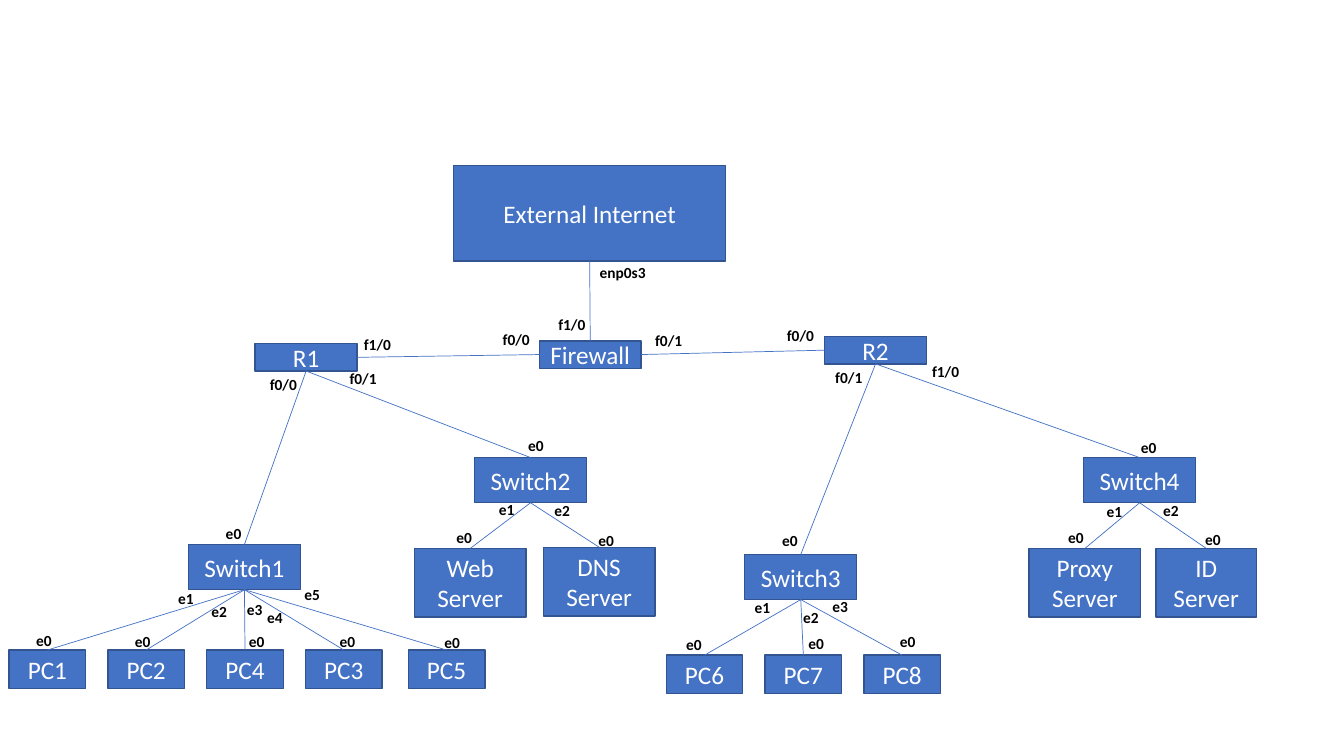
import pptx
import pptx.util
import pptx.dml.color
import pptx.enum.shapes
import pptx.enum.text
import pptx.oxml

Cm, Pt = pptx.util.Cm, pptx.util.Pt
RGBColor = pptx.dml.color.RGBColor

BLUE = RGBColor(0x44, 0x72, 0xC4)
DARK_BLUE = RGBColor(0x32, 0x54, 0x91)
WHITE = RGBColor(0xFF, 0xFF, 0xFF)
BLACK = RGBColor(0x00, 0x00, 0x00)

DEVICE_FONT = {"name": "Calibri", "size": Pt(18), "bold": False}
PORT_FONT = {"name": "Calibri", "size": Pt(11), "bold": True}

TOP, LEFT, BOTTOM, RIGHT = range(4)

# Box sizes in cm
INTERNET = (6.86, 2.41)
ROUTER = (2.57, 0.69)
SWITCH = (2.82, 1.14)
SERVER = (2.82, 1.73)
NARROW_SERVER = (2.54, 1.73)
PC = (1.93, 0.97)
PORT = (1.93, 0.74)
PC_STEP = 2.49

# Name, left, top, size
DEVICES = [
    ("External Internet", 11.43, 4.17, INTERNET),
    ("Firewall", 13.59, 8.59, ROUTER),
    ("R1", 6.43, 8.66, ROUTER),
    ("R2", 20.78, 8.48, ROUTER),
    ("Switch1", 4.75, 13.72, SWITCH),
    ("Switch2", 11.96, 11.53, SWITCH),
    ("Switch3", 18.77, 13.97, SWITCH),
    ("Switch4", 27.31, 11.53, SWITCH),
    ("Web\nServer", 10.44, 13.82, SERVER),
    ("DNS\nServer", 13.69, 13.79, SERVER),
    ("Proxy\nServer", 25.93, 13.82, SERVER),
    ("ID\nServer", 29.13, 13.82, NARROW_SERVER),
    ("PC5", 10.29, 16.38, PC),
]

# Evenly spaced PCs: names, first left, top
PC_ROWS = [
    (("PC1", "PC2", "PC4", "PC3"), 0.23, 16.38),
    (("PC6", "PC7", "PC8"), 16.79, 16.51),
]

# Links that leave a bottom side and enter a top side
TREE = {
    "External Internet": ["Firewall"],
    "R1": ["Switch1", "Switch2"],
    "R2": ["Switch3", "Switch4"],
    "Switch1": ["PC1", "PC2", "PC4", "PC3", "PC5"],
    "Switch2": ["Web\nServer", "DNS\nServer"],
    "Switch3": ["PC6", "PC7", "PC8"],
    "Switch4": ["Proxy\nServer", "ID\nServer"],
}

# Port name and the places where it stands
PORTS = {
    "enp0s3": [(14.86, 6.5)],
    "f0/0": [(6.55, 9.32), (12.42, 8.2), (19.58, 8.1)],
    "f0/1": [(8.56, 9.17), (16.26, 8.23), (20.8, 9.14)],
    "f1/0": [(8.92, 8.31), (13.82, 7.82), (23.24, 8.99)],
    "e0": [
        (5.44, 13.08), (13.06, 10.87), (19.46, 13.26), (28.5, 10.92),
        (11.25, 13.18), (14.83, 13.26), (26.67, 13.18), (30.12, 13.23),
        (0.66, 15.77), (3.15, 15.8), (6.02, 15.8), (8.31, 15.8),
        (10.95, 15.82), (17.04, 15.88), (20.12, 15.85), (22.43, 15.8),
    ],
    "e1": [(4.24, 14.73), (12.32, 12.47), (18.77, 14.94), (27.64, 12.52)],
    "e2": [(5.08, 15.06), (13.72, 12.5), (19.99, 15.19), (29.06, 12.5)],
    "e3": [(5.97, 14.99), (20.73, 14.91)],
    "e4": [(6.48, 15.21)],
    "e5": [(7.42, 14.61)],
}


def write(tf, text, font, color, align):
    p = tf.paragraphs[0]
    p.text = text
    p.alignment = align
    for r in p.runs:
        for key, value in font.items():
            setattr(r.font, key, value)
        r.font.color.rgb = color


def add_device(slide, name, left, top, size):
    sp = slide.shapes.add_shape(
        pptx.enum.shapes.MSO_SHAPE.RECTANGLE, Cm(left), Cm(top), *map(Cm, size))
    sp.shadow.inherit = False
    sp.fill.solid()
    sp.fill.fore_color.rgb = BLUE
    sp.line.color.rgb = DARK_BLUE
    sp.line.width = Pt(1)
    tf = sp.text_frame
    tf.word_wrap = True
    tf.vertical_anchor = pptx.enum.text.MSO_ANCHOR.MIDDLE
    write(tf, name, DEVICE_FONT, WHITE, pptx.enum.text.PP_ALIGN.CENTER)
    return sp


def add_link(slide, start, start_side, end, end_side):
    line = slide.shapes.add_connector(
        pptx.enum.shapes.MSO_CONNECTOR.STRAIGHT, 0, 0, 0, 0)
    line.begin_connect(start, start_side)
    line.end_connect(end, end_side)
    line.line.color.rgb = BLUE
    line.line.width = Pt(0.5)
    sp_pr = line._element.spPr
    sp_pr.append(pptx.oxml.parse_xml(
        '<a:effectLst xmlns:a="http://schemas.openxmlformats.org/drawingml/2006/main"/>'))


def add_port(slide, name, left, top):
    tf = slide.shapes.add_textbox(Cm(left), Cm(top), *map(Cm, PORT)).text_frame
    tf.word_wrap = True
    tf.auto_size = pptx.enum.text.MSO_AUTO_SIZE.SHAPE_TO_FIT_TEXT
    write(tf, name, PORT_FONT, BLACK, pptx.enum.text.PP_ALIGN.LEFT)


def main():
    prs = pptx.Presentation()
    prs.slide_width, prs.slide_height = Cm(33.87), Cm(19.05)
    slide = prs.slides.add_slide(prs.slide_layouts[6])

    # Devices
    boxes = {d[0]: add_device(slide, *d) for d in DEVICES}
    for names, left, top in PC_ROWS:
        for i, name in enumerate(names):
            boxes[name] = add_device(slide, name, left + i * PC_STEP, top, PC)

    # Links
    for parent, children in TREE.items():
        for child in children:
            add_link(slide, boxes[parent], BOTTOM, boxes[child], TOP)
    add_link(slide, boxes["Firewall"], LEFT, boxes["R1"], RIGHT)
    add_link(slide, boxes["Firewall"], RIGHT, boxes["R2"], LEFT)

    # Port labels
    for name, places in PORTS.items():
        for left, top in places:
            add_port(slide, name, left, top)

    prs.save("out.pptx")


if __name__ == "__main__":
    main()
